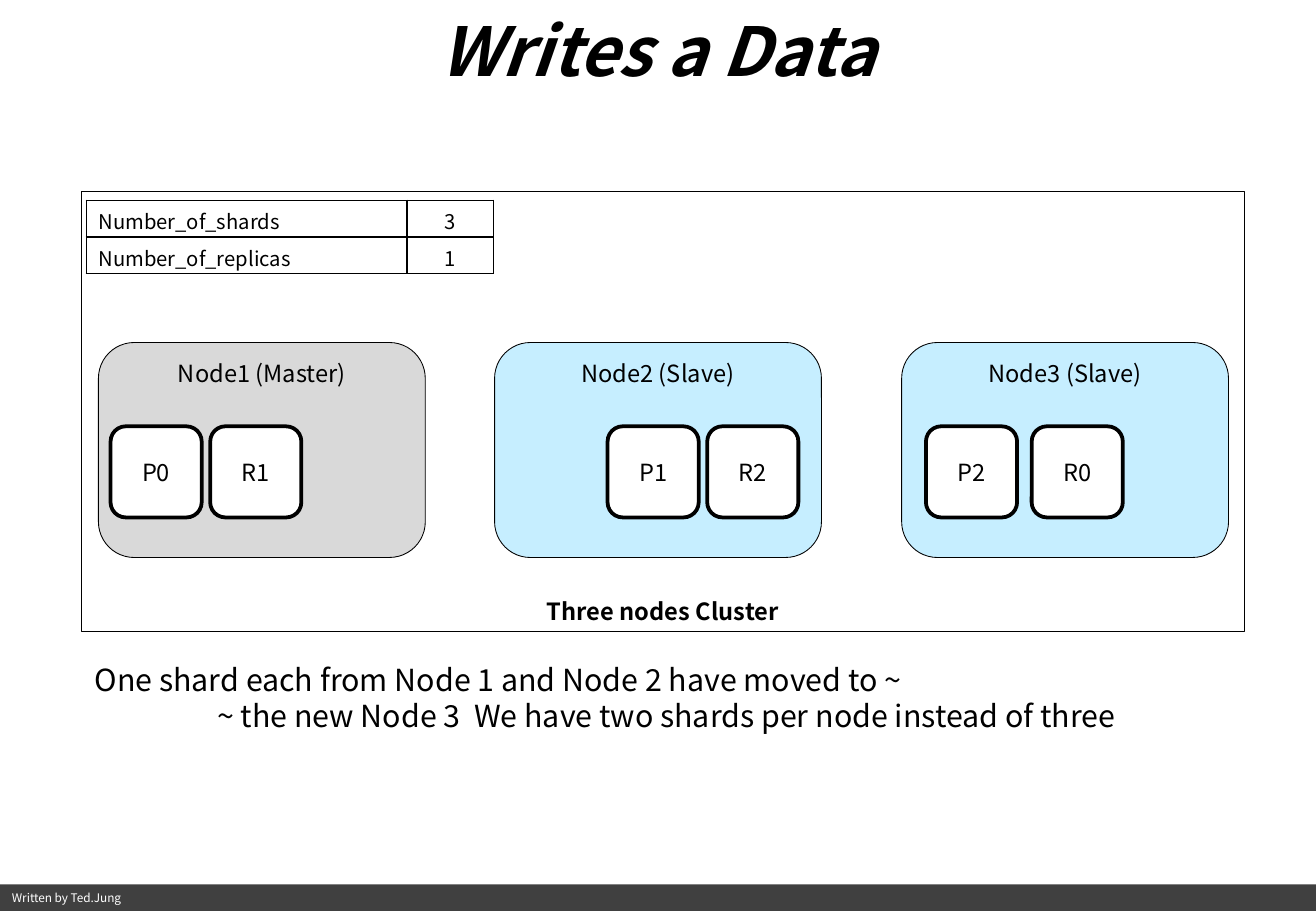
from dataclasses import dataclass

from lxml.etree import SubElement
from pptx import Presentation
from pptx.dml.color import RGBColor
from pptx.enum.shapes import MSO_SHAPE
from pptx.enum.text import MSO_ANCHOR, PP_ALIGN
from pptx.oxml.ns import qn
from pptx.shapes.autoshape import Shape
from pptx.slide import Slide
from pptx.table import _Cell
from pptx.text.text import TextFrame
from pptx.util import Inches, Pt

FONT = "Noto Sans CJK KR"
BLACK = RGBColor(0x00, 0x00, 0x00)
WHITE = RGBColor(0xFF, 0xFF, 0xFF)
FOOTER_GRAY = RGBColor(0x40, 0x40, 0x40)
MASTER_GRAY = RGBColor(0xD9, 0xD9, 0xD9)
SLAVE_BLUE = RGBColor(0xC6, 0xEE, 0xFF)

NODE_TOP, NODE_WIDTH, NODE_HEIGHT = 2.82, 2.69, 1.77
SHARD_TOP, SHARD_SIZE = 3.51, 0.75


@dataclass
class Node:
    name: str
    left: float
    color: RGBColor
    shards: dict[str, float]  # shard name -> left edge


NODES = [
    Node("Node1 (Master)", 0.81, MASTER_GRAY, {"P0": 0.91, "R1": 1.73}),
    Node("Node2 (Slave)", 4.07, SLAVE_BLUE, {"P1": 5.0, "R2": 5.82}),
    Node("Node3 (Slave)", 7.42, SLAVE_BLUE, {"P2": 7.62, "R0": 8.49}),
]
SETTINGS = [("Number_of_shards", "3"), ("Number_of_replicas", "1")]


def write_text(frame: TextFrame, *lines: str, size: float = 14,
               color: RGBColor = BLACK, bold: bool = False, italic: bool = False,
               align: PP_ALIGN = PP_ALIGN.CENTER,
               anchor: MSO_ANCHOR = MSO_ANCHOR.TOP) -> None:
    frame.word_wrap = True
    frame.vertical_anchor = anchor
    for index, line in enumerate(lines):
        paragraph = frame.add_paragraph() if index else frame.paragraphs[0]
        paragraph.alignment = align
        run = paragraph.add_run()
        run.text = line
        run.font.name = FONT
        run.font.size = Pt(size)
        run.font.bold = bold
        run.font.italic = italic
        run.font.color.rgb = color


def add_box(slide: Slide, kind: MSO_SHAPE, left: float, top: float, width: float,
            height: float, fill: RGBColor, line_width: float = 0) -> Shape:
    shape = slide.shapes.add_shape(
        kind, Inches(left), Inches(top), Inches(width), Inches(height))
    shape.shadow.inherit = False
    shape.fill.solid()
    shape.fill.fore_color.rgb = fill
    if line_width:
        shape.line.color.rgb = BLACK
        shape.line.width = Pt(line_width)
    else:
        shape.line.fill.background()
    return shape


def add_text_box(slide: Slide, left: float, top: float, width: float,
                 height: float) -> TextFrame:
    return slide.shapes.add_textbox(
        Inches(left), Inches(top), Inches(width), Inches(height)).text_frame


def add_node(slide: Slide, node: Node) -> None:
    box = add_box(slide, MSO_SHAPE.ROUNDED_RECTANGLE, node.left, NODE_TOP,
                  NODE_WIDTH, NODE_HEIGHT, node.color, 0.5)
    write_text(box.text_frame, node.name)
    for name, left in node.shards.items():
        shard = add_box(slide, MSO_SHAPE.ROUNDED_RECTANGLE, left, SHARD_TOP,
                        SHARD_SIZE, SHARD_SIZE, WHITE, 2.25)
        write_text(shard.text_frame, name, anchor=MSO_ANCHOR.MIDDLE)


def set_borders(cell: _Cell) -> None:
    properties = cell._tc.get_or_add_tcPr()
    for side in ("a:lnL", "a:lnR", "a:lnT", "a:lnB"):
        line = SubElement(properties, qn(side), w=str(Pt(1)))
        fill = SubElement(line, qn("a:solidFill"))
        SubElement(fill, qn("a:srgbClr"), val=str(BLACK))


def add_settings_table(slide: Slide) -> None:
    table = slide.shapes.add_table(len(SETTINGS), 2, Inches(0.71), Inches(1.65),
                                   Inches(3.35), Inches(0.6)).table
    table.first_row = table.horz_banding = False
    table.columns[0].width = Inches(2.64)
    table.columns[1].width = Inches(0.71)
    for row, values in enumerate(SETTINGS):
        for column, value in enumerate(values):
            cell = table.cell(row, column)
            set_borders(cell)
            cell.fill.background()
            write_text(cell.text_frame, value, size=12,
                       align=PP_ALIGN.CENTER if column else PP_ALIGN.LEFT)
            cell.vertical_anchor = MSO_ANCHOR.MIDDLE


def main() -> None:
    presentation = Presentation()
    presentation.slide_width = Inches(10.83)
    presentation.slide_height = Inches(7.5)
    slide = presentation.slides.add_slide(presentation.slide_layouts[6])

    # Footer and title
    footer = add_box(slide, MSO_SHAPE.RECTANGLE, 0, 7.28, 10.83, 0.22, FOOTER_GRAY)
    write_text(footer.text_frame, "Written by Ted.Jung", size=7, color=WHITE,
               align=PP_ALIGN.LEFT)
    write_text(add_text_box(slide, 0.92, 0.15, 8.98, 0.51), "Writes a Data",
               size=40, bold=True, italic=True, anchor=MSO_ANCHOR.MIDDLE)

    # Cluster with its nodes and settings
    cluster = add_box(slide, MSO_SHAPE.RECTANGLE, 0.67, 1.58, 9.57, 3.62, WHITE, 0.5)
    write_text(cluster.text_frame, "Three nodes Cluster", bold=True,
               anchor=MSO_ANCHOR.BOTTOM)
    for node in NODES:
        add_node(slide, node)
    add_settings_table(slide)

    # Explanation, second line indented
    explanation = add_text_box(slide, 0.68, 5.39, 9.56, 0.71)
    write_text(explanation, "One shard each from Node 1 and Node 2 have moved to ~",
               "~ the new Node 3  We have two shards per node instead of three",
               size=18, align=PP_ALIGN.LEFT)
    indented = explanation.paragraphs[1]._p.get_or_add_pPr()
    indented.set("marL", str(Inches(1.01)))

    presentation.save("out.pptx")


if __name__ == "__main__":
    main()
